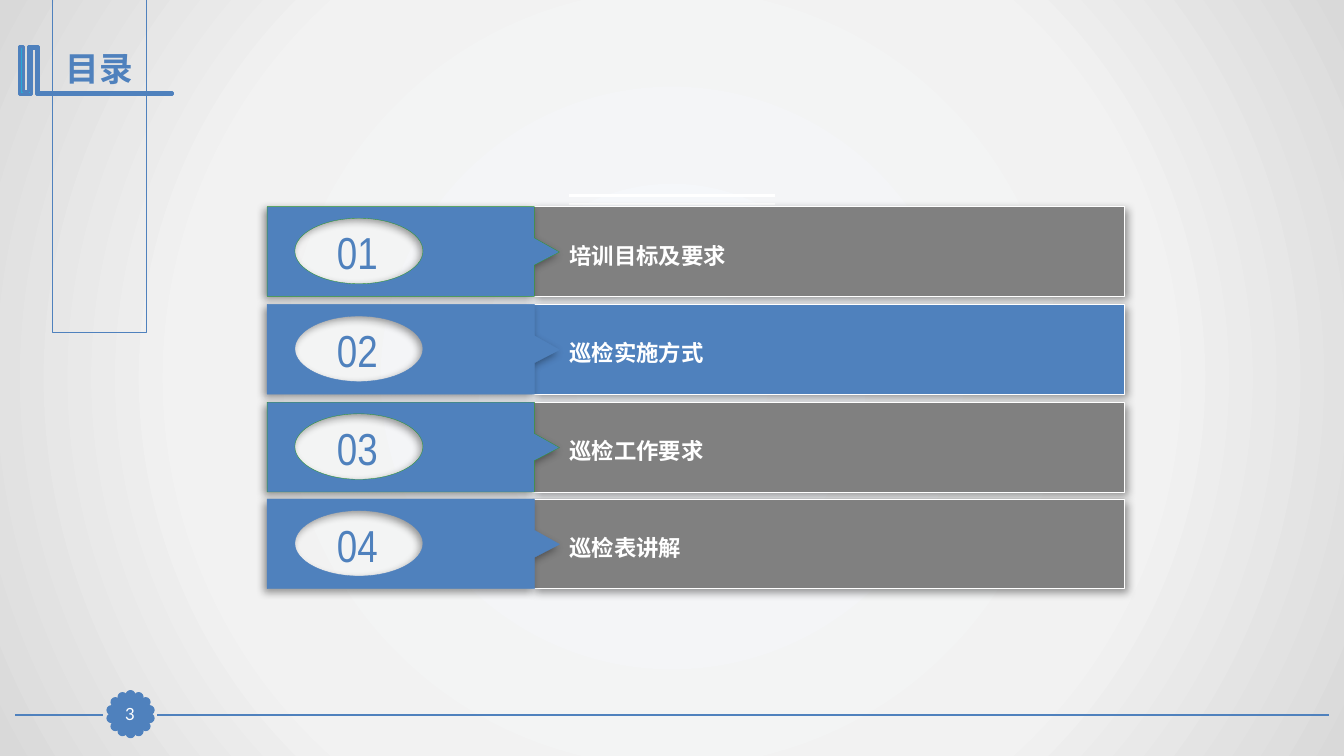
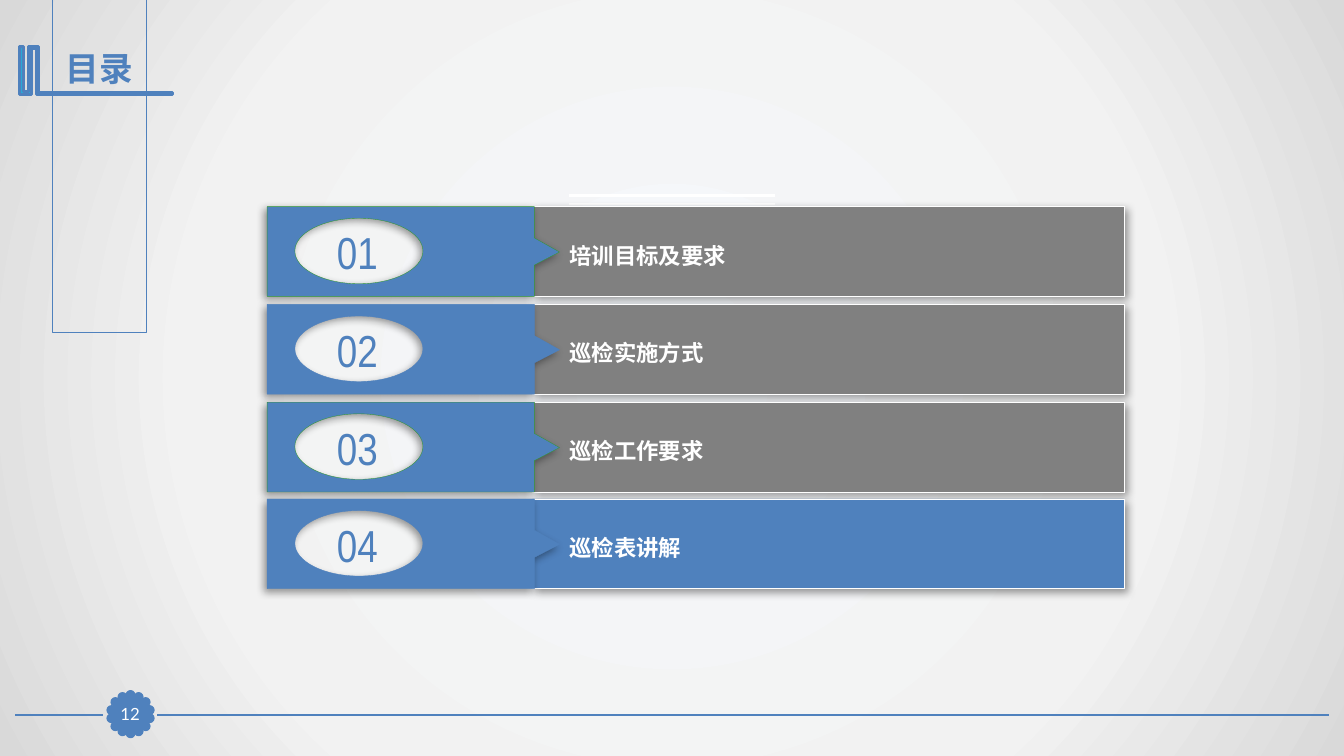
from math import cos, pi, sin

from lxml.etree import SubElement
from pptx import Presentation
from pptx.dml.color import RGBColor
from pptx.enum.shapes import MSO_CONNECTOR, MSO_SHAPE
from pptx.enum.text import MSO_ANCHOR, MSO_AUTO_SIZE, PP_ALIGN
from pptx.oxml.ns import qn
from pptx.util import Pt

PX = 9144  # EMU per px, 100 px to the inch

RECT, OVAL, STRAIGHT = MSO_SHAPE.RECTANGLE, MSO_SHAPE.OVAL, MSO_CONNECTOR.STRAIGHT
LEFT, CENTER = PP_ALIGN.LEFT, PP_ALIGN.CENTER
TOP, MIDDLE = MSO_ANCHOR.TOP, MSO_ANCHOR.MIDDLE
NO_FIT, GROW = MSO_AUTO_SIZE.NONE, MSO_AUTO_SIZE.SHAPE_TO_FIT_TEXT

BLUE = RGBColor(0x4F, 0x81, 0xBD)
CYAN = RGBColor(0x28, 0xA9, 0xD6)
GREEN = RGBColor(0x33, 0x99, 0x33)
GRAY = RGBColor(0x80, 0x80, 0x80)
WHITE = RGBColor(0xFF, 0xFF, 0xFF)
BACKDROP = ((0, "F6F9FC"), (63, "F2F2F2"), (100, "D9D9D9"))

NARROW, BODY = "Arial Narrow", "Lato"

TITLE = "目录"
TOPICS = ("培训目标及要求", "巡检实施方式", "巡检工作要求", "巡检表讲解")
PAGES = ((3, 2), (12, 4))  # page number, highlighted topic

BOOKMARK = ((37, 46), (38, 46), (38, 92), (171, 92), (171, 94), (37, 94),
            (36, 94), (36, 48), (31, 48), (31, 94), (19, 94), (19, 46),
            (23, 46), (23, 91), (28, 91), (28, 46))
PETALS = 14
FIRST_ROW, ROW_PITCH, ROW_HEIGHT = 205, 96.75, 89


def px(*lengths):
    return [round(length * PX) for length in lengths]


def write(shape, text, size=16, font=BODY, color=WHITE, bold=False,
          align=LEFT, anchor=TOP, margin=None, fit=NO_FIT):
    frame = shape.text_frame
    frame.word_wrap = True
    frame.auto_size = fit
    frame.vertical_anchor = anchor
    if margin is not None:
        frame.margin_left = frame.margin_right = px(margin)[0]
        frame.margin_top = frame.margin_bottom = px(margin)[0]
    paragraph = frame.paragraphs[0]
    paragraph.alignment = align
    run = paragraph.add_run()
    run.text = text
    run.font.size, run.font.name, run.font.bold = Pt(size), font, bold
    run.font.color.rgb = color


def oval_points(x, y, rx, ry):
    """Start point and the control points of four Bezier quarters."""
    k = 0.55
    unit = ((0, -1), (-k, -1), (-1, -k), (-1, 0), (-1, k), (-k, 1), (0, 1),
            (k, 1), (1, k), (1, 0), (1, -k), (k, -1), (0, -1))
    return [(x + rx * u, y + ry * v) for u, v in unit]


def bend(shape, count):
    """Turn the first count line segments into curves, three to a curve."""
    lines = shape.element.xpath(".//a:lnTo")[:count]
    for start in range(0, count, 3):
        first, *others = lines[start:start + 3]
        first.tag = qn("a:cubicBezTo")
        for line in others:
            first.append(line[0])
            line.getparent().remove(line)


class Deck:
    def __init__(self):
        self.prs = Presentation()
        self.prs.slide_width, self.prs.slide_height = px(1333, 750)
        self.slide = None
        self.paint_master()

    def paint_master(self):
        master = self.prs.slide_master
        master.background.fill.gradient()
        gradient = master.element.xpath("./p:cSld/p:bg//a:gradFill")[0]
        gradient.clear()
        stops = SubElement(gradient, qn("a:gsLst"))
        for percent, color in BACKDROP:
            stop = SubElement(stops, qn("a:gs"), pos=str(percent * 1000))
            SubElement(stop, qn("a:srgbClr"), val=color)
        circle = SubElement(gradient, qn("a:path"))
        circle.set("path", "circle")
        SubElement(circle, qn("a:fillToRect"),
                   {side: "50000" for side in "ltrb"})

    def new_slide(self):
        self.slide = self.prs.slides.add_slide(self.prs.slide_layouts[5])

    def format(self, shape, fill, line, width, shadow_angle=None):
        shape.fill.solid()
        shape.fill.fore_color.rgb = fill
        shape.line.color.rgb = line
        shape.line.width = Pt(width)
        shape.shadow.inherit = False
        if shadow_angle is not None:
            effects = shape.element.spPr.find(qn("a:effectLst"))
            shadow = SubElement(effects, qn("a:outerShdw"),
                                blurRad=str(Pt(6)), dist=str(Pt(3)),
                                dir=str(shadow_angle * 60000),
                                algn="ctr", rotWithShape="0")
            black = SubElement(shadow, qn("a:srgbClr"), val="000000")
            SubElement(black, qn("a:alpha"), val="40000")
        return shape

    def shape(self, kind, box, fill, line, width, shadow_angle=None):
        shape = self.slide.shapes.add_shape(kind, *px(*box))
        return self.format(shape, fill, line, width, shadow_angle)

    def outline(self, contours, fill, line, width, shadow_angle=None):
        first, *others = [[px(*point) for point in contour]
                          for contour in contours]
        builder = self.slide.shapes.build_freeform(*first[0])
        builder.add_line_segments(first[1:], close=True)
        for contour in others:
            builder.move_to(*contour[0])
            builder.add_line_segments(contour[1:], close=True)
        return self.format(builder.convert_to_shape(), fill, line, width,
                           shadow_angle)

    def rule(self, x1, x2, y, color, width):
        rule = self.slide.shapes.add_connector(STRAIGHT, *px(x1, y, x2, y))
        rule.line.color.rgb = color
        rule.line.width = Pt(width)
        SubElement(rule._element.spPr, qn("a:effectLst"))

    def text(self, box, text, **style):
        write(self.slide.shapes.add_textbox(*px(*box)), text, fit=GROW,
              **style)

    def title(self, text):
        title = self.slide.shapes.title
        title.left, title.top, title.width, title.height = px(52, 43, 93, 50)
        title.line.color.rgb = BLUE
        title.line.width = Pt(0.75)
        write(title, text, size=24, font=NARROW, color=BLUE, bold=True,
              align=CENTER, anchor=MIDDLE, fit=GROW)
        self.outline([BOOKMARK], CYAN, BLUE, 2)

    def footer(self, number):
        self.rule(1318, 156, 709, BLUE, 1.25)
        self.rule(102, 15, 709, BLUE, 1.25)
        # Scalloped badge
        for petal in range(PETALS):
            angle = 2 * pi * petal / PETALS
            left = round(126 + 19 * sin(angle))
            top = round(705 - 19 * cos(angle))
            self.shape(OVAL, (left, top, 7, 7), BLUE, BLUE, 2)
        badge = self.shape(RECT, (113, 693, 32, 31), BLUE, BLUE, 0.75)
        write(badge, str(number), size=12, align=CENTER, anchor=MIDDLE,
              margin=0)

    def topic(self, number, text, highlighted):
        top = FIRST_ROW + round((number - 1) * ROW_PITCH)
        bottom = top + ROW_HEIGHT
        self.shape(RECT, (528, top, 587, ROW_HEIGHT),
                   BLUE if highlighted else GRAY, WHITE, 0.25, 45)
        # Pointed tab with an oval window
        window = oval_points(356, top + 44, 63.5, 32.5)
        tab = [(265, top), (530, top), (530, top + 31), (555, top + 45),
               (530, top + 58), (530, bottom), (265, bottom)]
        pointer = self.outline([window, tab], BLUE,
                               GREEN if number % 2 else BLUE, 0.25, 135)
        bend(pointer, len(window) - 1)
        self.text((304, top + 13, 101, 64), f"{number:02}", size=32,
                  font=NARROW, color=BLUE, align=CENTER, anchor=MIDDLE)
        self.text((555, top + 30, 561, 37), text, bold=True)


def main():
    deck = Deck()
    for page, current in PAGES:
        deck.new_slide()
        deck.title(TITLE)
        deck.footer(page)
        # Agenda
        for y in (194, 202):
            deck.rule(564, 769, y, WHITE, 1.5)
        for number, text in enumerate(TOPICS, 1):
            deck.topic(number, text, number == current)
    deck.prs.save("out.pptx")


if __name__ == "__main__":
    main()
